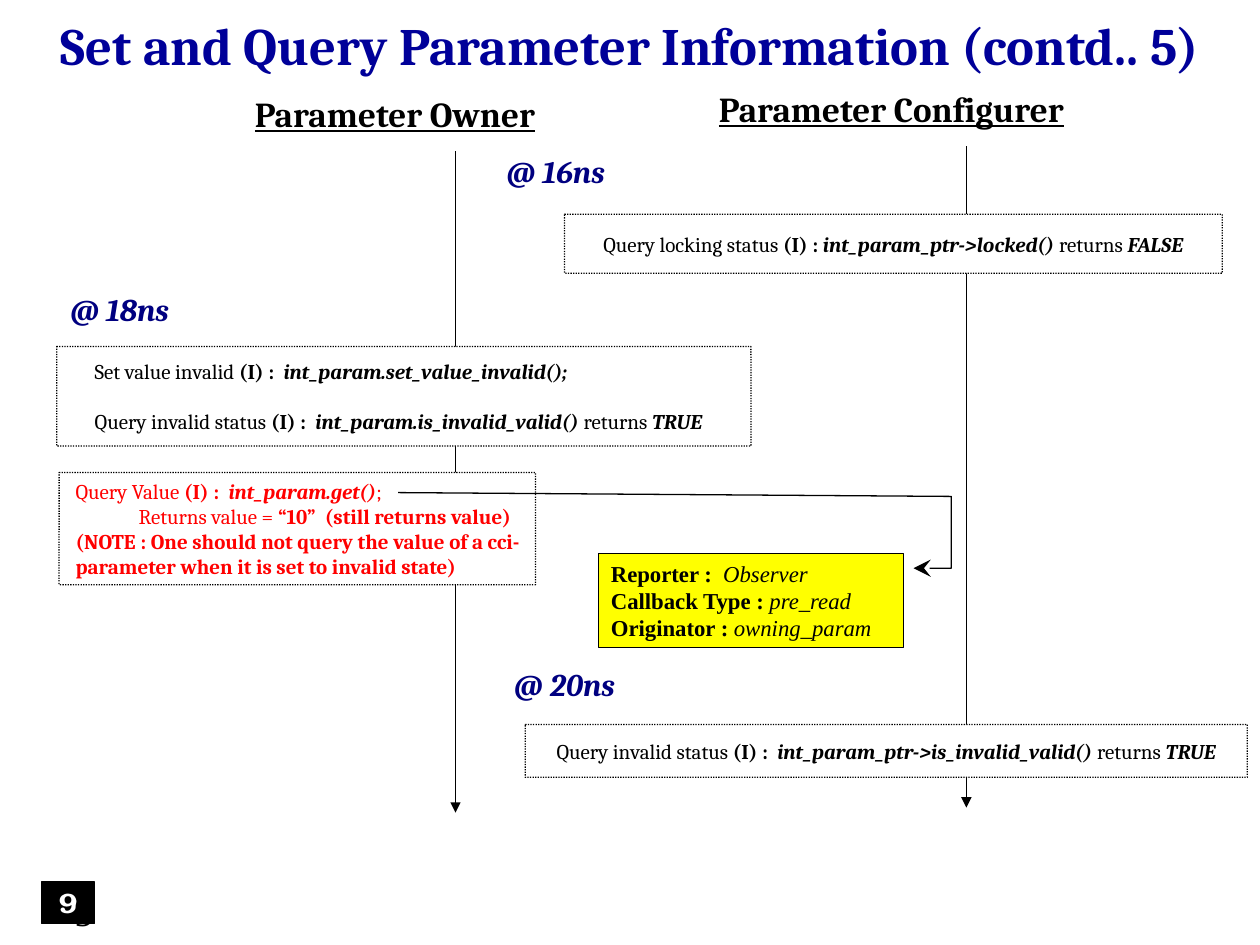
import pptx
import pptx.util
import pptx.dml.color
import pptx.enum.dml
import pptx.enum.shapes
import pptx.enum.text
import pptx.oxml

Pt = pptx.util.Pt
SHAPES = pptx.enum.shapes.MSO_SHAPE
ALIGN = pptx.enum.text.PP_ALIGN
ANCHOR = pptx.enum.text.MSO_ANCHOR
NS = 'xmlns:a="http://schemas.openxmlformats.org/drawingml/2006/main"'


def color(value):
    return pptx.dml.color.RGBColor.from_string(value)


def write(box, lines, ink, size, face="Cambria", align=ALIGN.CENTER, **frame_format):
    frame = box.text_frame
    layout = {"word_wrap": True, "vertical_anchor": ANCHOR.MIDDLE, "margin_left": Pt(7.2),
              "margin_right": Pt(7.2), "margin_top": Pt(3.6), "margin_bottom": Pt(3.6)}
    for name, value in {**layout, **frame_format}.items():
        setattr(frame, name, value)
    for index, spans in enumerate(lines):
        para = frame.paragraphs[0] if index == 0 else frame.add_paragraph()
        para.alignment = align
        for text, style in spans:
            span = para.add_run()
            span.text = text
            values = {"name": face, "size": Pt(size), "bold": "b" in style,
                      "italic": "i" in style, "underline": "u" in style}
            for name, value in values.items():
                setattr(span.font, name, value)
            span.font.color.rgb = color(ink)


deck = pptx.Presentation()
deck.slide_width, deck.slide_height = Pt(720), Pt(540)
page = deck.slides.add_slide(deck.slide_layouts[6])

for x, top in [(260.3, 86.4), (552.24, 83.5)]:
    lifeline = page.shapes.add_connector(
        pptx.enum.shapes.MSO_CONNECTOR.STRAIGHT, Pt(x), Pt(top), Pt(x), Pt(top + 378))
    lifeline.line.width = Pt(0.75)
    lifeline.line.color.rgb = color("000000")
    lifeline.line._get_or_add_ln().append(pptx.oxml.parse_xml(f'<a:tailEnd {NS} type="triangle"/>'))
    lifeline._element.spPr.append(pptx.oxml.parse_xml(f"<a:effectLst {NS}/>"))

labels = [
    ("Parameter Configurer", 392.4, 43.9, 234, 36, "000000", 20, "bu"),
    ("Parameter Owner", 108.7, 46.8, 234, 36, "000000", 20, "bu"),
    ("@ 16ns", 275.8, 87.8, 83.5, 20.2, "000080", 18, "bi"),
    ("@ 18ns", 28.8, 167, 79.2, 18.7, "000080", 18, "bi"),
    ("@ 20ns", 279.4, 379.4, 86.4, 23, "000080", 18, "bi"),
]
for text, left, top, width, height, ink, size, style in labels:
    box = page.shapes.add_shape(SHAPES.ROUNDED_RECTANGLE, Pt(left), Pt(top), Pt(width), Pt(height))
    box.adjustments[0] = 0.003
    box.shadow.inherit = False
    box.fill.solid()
    box.fill.fore_color.rgb = color("FFFFFF")
    box.line.fill.background()
    write(box, [[(text, style)]], ink, size)

steps = [
    (322.6, 122.4, 375.8, 33.8, "000000", ALIGN.CENTER, 7.2, [
        [("Query locking status ", ""), ("(I) : ", "b"), ("int_param_ptr->locked()", "bi"),
         (" returns ", ""), ("FALSE", "bi")]]),
    (32.4, 198, 396.7, 56.9, "000000", ALIGN.LEFT, 21.7, [
        [("Set value invalid ", ""), ("(I) :  ", "b"), ("int_param.set_value_invalid();", "bi")],
        [("Query invalid status ", ""), ("(I) :  ", "b"), ("int_param.is_invalid_valid() ", "bi"),
         ("returns ", ""), ("TRUE", "bi")]]),
    (33.8, 270, 272.2, 64.1, "FF0000", ALIGN.LEFT, 9.4, [
        [("Query Value ", ""), ("(I) :  ", "b"), ("int_param.get()", "bi"), (";", "")],
        [("\tReturns value = ", ""), ("“10”  (still returns value)", "b")],
        [("(NOTE : One should not query the value of a cci-parameter "
          "when it is set to invalid state)", "b")]]),
    (300.2, 414, 412.6, 30.2, "000000", ALIGN.CENTER, 7.2, [
        [("Query invalid status ", ""), ("(I) :  ", "b"),
         ("int_param_ptr->is_invalid_valid() ", "bi"), ("returns ", ""), ("TRUE", "bi")]]),
]
step_boxes = []
for left, top, width, height, ink, align, inset, lines in steps:
    box = page.shapes.add_shape(SHAPES.ROUNDED_RECTANGLE, Pt(left), Pt(top), Pt(width), Pt(height))
    box.adjustments[0] = 0.002
    box.shadow.inherit = False
    box.fill.solid()
    box.fill.fore_color.rgb = color("FFFFFF")
    box.line.color.rgb = color("000000")
    box.line.width = Pt(0.75)
    box.line.dash_style = pptx.enum.dml.MSO_LINE.ROUND_DOT
    write(box, lines, ink, 12, align=align, margin_left=Pt(inset))
    step_boxes.append(box)
step_boxes[1].text_frame.paragraphs[1].space_before = Pt(14.2)
returns_para = step_boxes[2].text_frame.paragraphs[1]
returns_para._p.get_or_add_pPr().append(
    pptx.oxml.parse_xml(f'<a:tabLst {NS}><a:tab pos="{Pt(36)}" algn="l"/></a:tabLst>'))

title = page.shapes.add_textbox(Pt(0), Pt(5.8), Pt(720), Pt(45.4))
write(title, [[("Set and Query Parameter Information (contd.. 5)", "b")]], "000099", 30)
title.text_frame.paragraphs[0].line_spacing = 0.85

callback = page.shapes.add_shape(SHAPES.RECTANGLE, Pt(342), Pt(316.1), Pt(174.2), Pt(54))
badge = page.shapes.add_shape(SHAPES.RECTANGLE, Pt(23.8), Pt(504), Pt(30.2), Pt(23.8))
for box, fill in [(callback, "FFFF00"), (badge, "000000")]:
    box.shadow.inherit = False
    box.fill.solid()
    box.fill.fore_color.rgb = color(fill)
    box.line.color.rgb = color("000000")
    box.line.width = Pt(0.75)
write(callback, [
    [("Reporter :  ", "b"), ("Observer", "i")],
    [("Callback Type : ", "b"), ("pre_read", "i")],
    [("Originator : ", "b"), ("owning_param", "i")],
], "000000", 13, "Times New Roman", ALIGN.LEFT, vertical_anchor=ANCHOR.TOP)
write(badge, [[("9", "b")]], "FFFFFF", 16, "TeX Gyre Bonum", word_wrap=False)

outline = page.shapes.build_freeform(Pt(522), Pt(324.7))
outline.add_line_segments(
    [(Pt(543.6), Pt(324.7)), (Pt(543.6), Pt(283.7)), (Pt(227.5), Pt(281.5))], close=False)
callback_arrow = outline.convert_to_shape()
callback_arrow.shadow.inherit = False
callback_arrow.fill.background()
callback_arrow.line.color.rgb = color("000000")
callback_arrow.line.width = Pt(0.75)
callback_arrow.line._get_or_add_ln().append(
    pptx.oxml.parse_xml(f'<a:headEnd {NS} type="stealth" w="lg" len="lg"/>'))

number = page.shapes.add_textbox(Pt(18), Pt(496.8), Pt(93.6), Pt(41))
write(number, [[("9", "")]], "000000", 24, "Times New Roman", ALIGN.LEFT,
      vertical_anchor=ANCHOR.BOTTOM, margin_left=Pt(24.5))

deck.save("out.pptx")
